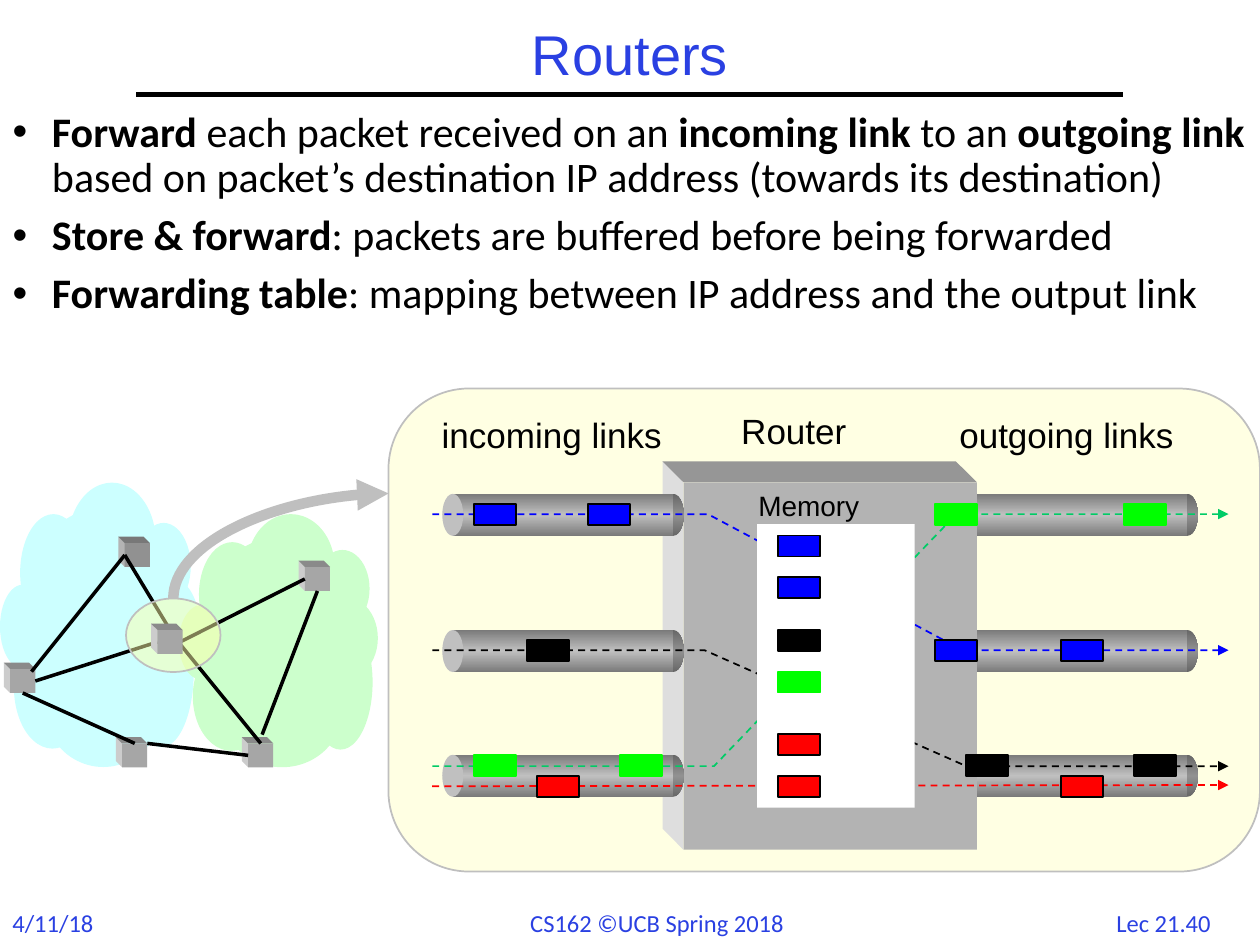
"""Build the slide on routers: links, packet memory and the network around it."""
from copy import deepcopy
from dataclasses import dataclass

from lxml.etree import SubElement
from pptx import Presentation
from pptx.dml.color import RGBColor
from pptx.enum.dml import MSO_LINE
from pptx.enum.shapes import MSO_CONNECTOR, MSO_SHAPE
from pptx.enum.text import MSO_ANCHOR, PP_ALIGN
from pptx.oxml.ns import qn
from pptx.util import Pt


@dataclass(frozen=True)
class Theme:
    """Colours, fonts and type sizes of the slide."""
    accent: str = "2A40E2"
    black: str = "000000"
    white: str = "FFFFFF"
    highlight: str = "FFFFAA"
    outline: str = "BFBFBF"
    tube_end: str = "C0C0C0"
    tube_body: tuple = ("7A7A7A", "C0C0C0", "7A7A7A")
    tube_cap: tuple = ("676767", "919191", "676767")
    block: tuple = ("B3B3B3", "DEDEDE", "969696")
    light_node: tuple = ("A6A6A6", "CCCCCC", "8A8A8A")
    dark_node: tuple = ("919191", "B4B4B4", "787878")
    blue: str = "0000FF"
    green: str = "00FF00"
    green_flow: str = "00CC66"
    red: str = "FF0000"
    cyan_cloud: str = "CCFFFF"
    green_cloud: str = "CCFFCC"
    heading_font: str = "Arial"
    body_font: str = "Calibri"
    title_size: float = 32
    body_size: float = 24
    label_size: float = 20
    memory_size: float = 16
    footer_size: float = 14


THEME = Theme()
TUBE_ROWS = (282.2, 360, 431.3)
PUFFS = ((39, 0, 50, 67), (11.5, 18, 38, 67), (0, 58.3, 26, 48),
         (8, 82, 44, 70), (25, 92, 68, 70.5), (78, 23, 31, 49.7),
         (77, 53.3, 36.7, 52.6), (74, 64.8, 36.7, 86.4), (8, 14.4, 101, 145.5))
PACKETS = (
    (THEME.blue, THEME.black, ((270.7, 288), (336.2, 288), (444.4, 306),
                               (444.4, 329.8), (534.2, 365.8), (606.2, 365.8))),
    (THEME.black, THEME.black, ((301, 365.8), (444.4, 360), (552.2, 431.3), (648, 431.3))),
    (THEME.green, THEME.green, ((270.7, 431.3), (354.2, 431.3), (444.4, 383.8),
                                (534.2, 288), (642.2, 288))),
    (THEME.red, THEME.black, ((306.7, 443.5), (444.4, 443.5), (444.4, 419.5), (606.2, 443.5))),
)
FLOWS = ((THEME.green_flow, 437.8, 408, 546.5, 293.8),
         (THEME.blue, 293.8, 404.6, 550, 371.5),
         (THEME.black, 371.5, 402.5, 552.2, 437.8))
NODE_SIZE = (14.4, 13.7)
NODES = {"east": (174.2, 324), "south": (141.8, 424.8), "north": (71.3, 310.3),
         "west": (5.8, 382.3), "southwest": (69.8, 424.8), "centre": (90, 360)}
LINKS = (((102.2, 367.2), ("south", 0)), (("centre", 0), ("north", 1)),
         ((102.2, 367.2), ("east", 1)), ((18, 383.8), ("north", 1)),
         (("west", 2), ("southwest", 0)), (("west", 3), ("centre", 1)),
         ((84.2, 424.8), ("south", 1)), ((149.8, 419.8), ("east", 2)))
BULLETS = (
    (("Forward", True), (" each packet received on an ", False), ("incoming link ", True),
     ("to an ", False), ("outgoing link ", True),
     ("based on packet’s destination IP address (towards its destination)", False)),
    (("Store & forward", True), (": packets are buffered before being forwarded", False)),
    (("Forwarding table", True), (": mapping between IP address and the output link", False)),
)


def write(paragraph, text, *, size, font=THEME.body_font, color=THEME.black, bold=False):
    """Add a formatted run to a paragraph."""
    run = paragraph.add_run()
    run.text = text
    run.font.name, run.font.size, run.font.bold = font, Pt(size), bold
    run.font.color.rgb = RGBColor.from_string(color)


def place(shape, left, top, width, height):
    """Move and size a shape."""
    shape.left, shape.top, shape.width, shape.height = map(Pt, (left, top, width, height))


def add_label(slide, text, box, inset=(0, 0), align=PP_ALIGN.CENTER, **style):
    """Add a one-line text box that does not wrap."""
    frame = slide.shapes.add_textbox(*map(Pt, box)).text_frame
    frame.word_wrap = False
    frame.margin_left = frame.margin_right = Pt(inset[0])
    frame.margin_top = frame.margin_bottom = Pt(inset[1])
    frame.paragraphs[0].alignment = align
    write(frame.paragraphs[0], text, **style)


def paint(shape, fill, line=None, opacity=None):
    """Give a shape a plain or three-stop fill and an optional outline."""
    shape.shadow.inherit = False
    if isinstance(fill, tuple):
        shape.fill.gradient()
        shape.fill.gradient_angle = 90
        stop_list = shape.element.spPr.find(".//" + qn("a:gsLst"))
        stop_list.append(deepcopy(stop_list[0]))
        for index, (stop, color) in enumerate(zip(shape.fill.gradient_stops, fill)):
            stop.position = index / 2
            stop.color.rgb = RGBColor.from_string(color)
    else:
        shape.fill.solid()
        shape.fill.fore_color.rgb = RGBColor.from_string(fill)
    if opacity:
        color_node = shape.element.spPr.find(".//" + qn("a:srgbClr"))
        SubElement(color_node, qn("a:alpha"), val=str(opacity * 1000))
    if line:
        shape.line.color.rgb = RGBColor.from_string(line)
        shape.line.width = Pt(1)
    else:
        shape.line.fill.background()


def add_box(slide, kind, box, fill, line=None, opacity=None):
    """Add a painted preset shape."""
    shape = slide.shapes.add_shape(kind, *map(Pt, box))
    paint(shape, fill, line, opacity)
    return shape


def add_outline(slide, points, closed):
    """Add a freeform through points."""
    corners = [(Pt(x), Pt(y)) for x, y in points]
    builder = slide.shapes.build_freeform(*corners[0])
    builder.add_line_segments(corners[1:], close=closed)
    return builder.convert_to_shape()


def style_line(shape, color, width, dashed=False, arrow=False):
    """Set colour, width, dash and arrowhead of a line."""
    line = shape.line
    line.color.rgb, line.width = RGBColor.from_string(color), Pt(width)
    if dashed:
        line.dash_style = MSO_LINE.DASH
    if arrow:
        SubElement(shape.element.spPr.find(qn("a:ln")), qn("a:tailEnd"), type="triangle")


def add_line(slide, start, end, color, width, kind=MSO_CONNECTOR.STRAIGHT, **style):
    """Add a connector without shadow."""
    connector = slide.shapes.add_connector(kind, *map(Pt, (*start, *end)))
    style_line(connector, color, width, **style)
    SubElement(connector.element.spPr, qn("a:effectLst"))
    return connector


def add_block(slide, box, depth, colors):
    """Add a rectangle with depth towards the upper left."""
    left, top, width, height = box
    right, bottom = left + width, top + height
    back_left, back_top = left - depth, top - depth
    front, side, lid = colors
    side_points = ((back_left, back_top), (left, top), (left, bottom), (back_left, bottom - depth))
    lid_points = ((back_left, back_top), (right - depth, back_top), (right, top), (left, top))
    for points, color in ((side_points, side), (lid_points, lid)):
        paint(add_outline(slide, points, True), color)
    return add_box(slide, MSO_SHAPE.RECTANGLE, box, front)


def add_tubes(slide, left):
    """Add one column of link tubes."""
    for top in reversed(TUBE_ROWS):
        add_box(slide, MSO_SHAPE.OVAL, (left + 126, top, 12, 24), THEME.tube_cap)
        add_box(slide, MSO_SHAPE.RECTANGLE, (left + 6, top, 126, 24), THEME.tube_body)
        add_box(slide, MSO_SHAPE.OVAL, (left, top, 12, 24), THEME.tube_end)


def add_router(slide):
    """Add the router panel with its links, flows, memory and packets."""
    add_box(slide, MSO_SHAPE.ROUNDED_RECTANGLE, (222, 222, 498, 276),
            THEME.highlight, THEME.outline, 32)
    add_tubes(slide, 546.5)
    add_block(slide, (390.6, 275.6, 167.6, 210), 12, THEME.block)
    add_tubes(slide, 252.7)
    for text, box in (("incoming links", (252, 236.2, 126.7, 24.5)),
                      ("outgoing links", (547.9, 236.2, 123.1, 24.5)),
                      ("Router", (423.4, 234, 60.5, 24.5))):
        add_label(slide, text, box, font=THEME.heading_font, size=THEME.label_size)
    add_line(slide, (247, 449.3), (702, 448.6), THEME.red, 1, dashed=True, arrow=True)
    for color, start, bend, rejoin, end in FLOWS:
        flow = add_outline(slide, ((247, start), (bend, start), (rejoin, end), (702, end)), False)
        flow.fill.background()
        flow.shadow.inherit = False
        style_line(flow, color, 1, dashed=True, arrow=True)
    add_box(slide, MSO_SHAPE.RECTANGLE, (432.7, 299.5, 90, 162), THEME.white)
    for fill, line, positions in PACKETS:
        for position in positions:
            add_box(slide, MSO_SHAPE.RECTANGLE, (*position, 24, 12), fill, line)
    add_label(slide, "Memory", (426.2, 275.8, 72, 25.9), (7.2, 3.6),
              font=THEME.heading_font, size=THEME.memory_size)


def add_cloud(slide, left, top, stretch, color):
    """Add a cloud made of ovals."""
    for x, y, width, height in PUFFS:
        box = (left + x, top + y * stretch, width, height * stretch)
        add_box(slide, MSO_SHAPE.OVAL, box, color)


def end_point(end):
    """Return the place of a link end, given as a point or as a node and side."""
    if end[0] not in NODES:
        return end
    (left, top), (width, height) = NODES[end[0]], NODE_SIZE
    across, down = ((0.5, 0), (0, 0.5), (0.5, 1), (1, 0.5))[end[1]]
    return left + width * across, top + height * down


def add_node(slide, name):
    """Add a network node as a small block."""
    colors = THEME.dark_node if name == "north" else THEME.light_node
    return add_block(slide, (*NODES[name], *NODE_SIZE), 3.6, colors)


def add_network(slide):
    """Add the clouds, nodes and links, with the router's node highlighted."""
    add_cloud(slide, 0, 275.8, 1, THEME.cyan_cloud)
    add_cloud(slide, 102.2, 293.8, 0.89, THEME.green_cloud)
    shapes = {name: add_node(slide, name) for name in NODES if name != "centre"}
    lines = [add_line(slide, end_point(start), end_point(end), THEME.black, 2)
             for start, end in LINKS]
    add_box(slide, MSO_SHAPE.OVAL, (72, 342, 54, 42), THEME.highlight, THEME.outline, 49)
    shapes["centre"] = add_node(slide, "centre")
    for line, (start, end) in zip(lines, LINKS):
        if start[0] in shapes:
            line.begin_connect(shapes[start[0]], start[1])
        line.end_connect(shapes[end[0]], end[1])
    curve = add_line(slide, (190.5, 373.5), (130.5, 250.5), THEME.outline, 6,
                     MSO_CONNECTOR.CURVE, arrow=True)
    properties = curve.element.spPr
    properties.find(qn("a:prstGeom")).set("prst", "curvedConnector2")
    properties.find(qn("a:xfrm")).set("rot", "5400000")


def add_heading(slide):
    """Fill the title and body placeholders and draw the rule."""
    add_line(slide, (78, 54), (642, 54), THEME.black, 3)
    title, body = slide.shapes.title, slide.placeholders[1]
    place(title, 78, 12, 564, 42)
    title.text_frame.vertical_anchor = MSO_ANCHOR.MIDDLE
    heading = title.text_frame.paragraphs[0]
    heading.alignment, heading.line_spacing = PP_ALIGN.CENTER, 0.9
    write(heading, "Routers", font=THEME.heading_font, size=THEME.title_size, color=THEME.accent)
    place(body, 0, 60, 720, 138)
    frame = body.text_frame
    for index, runs in enumerate(BULLETS):
        paragraph = frame.add_paragraph() if index else frame.paragraphs[0]
        paragraph.line_spacing, paragraph.space_before = 0.9, Pt(7.2)
        properties = paragraph._p.get_or_add_pPr()
        properties.set("marL", str(Pt(22.5)))
        properties.set("indent", str(-Pt(22.5)))
        SubElement(properties, qn("a:buChar"), char="•")
        for text, bold in runs:
            write(paragraph, text, size=THEME.body_size, bold=bold)


def add_footer(slide):
    """Add the date, course and page labels."""
    for text, left, width, align in (("4/11/18", 0, 72, PP_ALIGN.LEFT),
                                     ("CS162 ©UCB Spring 2018", 295.9, 165.6, PP_ALIGN.LEFT),
                                     ("Lec 21.40", 627.8, 74.2, PP_ALIGN.CENTER)):
        add_label(slide, text, (left, 515.5, width, 24.5), (7.2, 3.6), align,
                  size=THEME.footer_size, color=THEME.accent)


def main():
    """Build and save the presentation."""
    presentation = Presentation()
    presentation.slide_width, presentation.slide_height = Pt(720), Pt(540)
    slide = presentation.slides.add_slide(presentation.slide_layouts[1])
    add_footer(slide)
    add_heading(slide)
    add_router(slide)
    add_network(slide)
    presentation.save("out.pptx")


if __name__ == "__main__":
    main()
